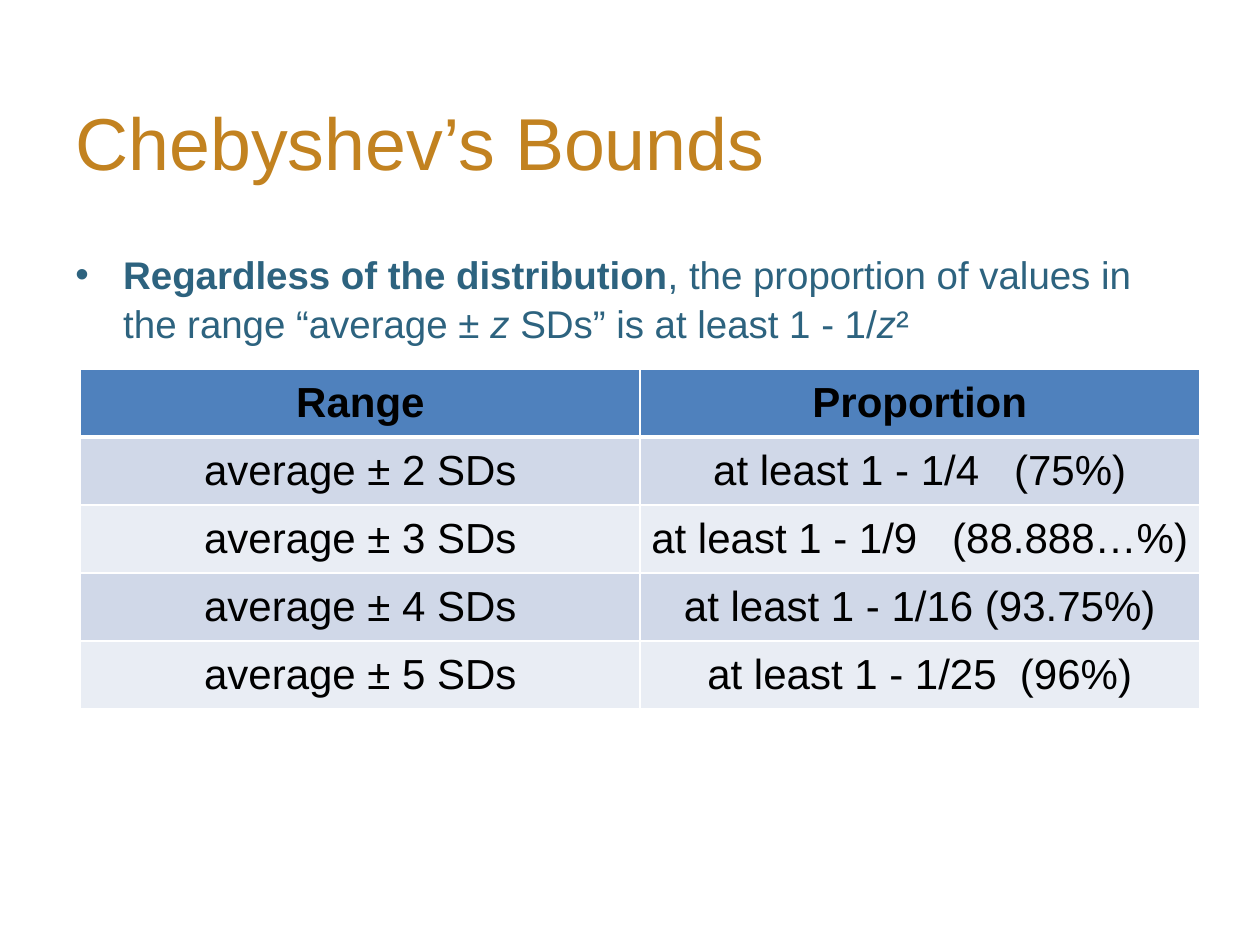
from lxml import etree
from pptx import Presentation, util as u
from pptx.dml.color import RGBColor
from pptx.enum import text
from pptx.oxml.ns import qn

COLORS = {"title": "C28220", "body": "2D637F", "cell": "000000", "border": "FFFFFF",
          "header": "4F81BD", "odd": "D0D8E8", "even": "E9EDF4"}

presentation = Presentation()
presentation.slide_width, presentation.slide_height = u.Inches(10), u.Inches(7.5)
slide = presentation.slides.add_slide(presentation.slide_layouts[6])

MARGIN, CONTENT_WIDTH = u.Inches(0.5), u.Inches(9.06)
COLUMN, ROW = u.Inches(4.44), u.Inches(0.54)


def add_run(paragraph, words, color, **font_format):
    run = paragraph.add_run()
    run.text = words
    run.font.color.rgb = RGBColor.from_string(COLORS[color])
    for name, value in {"name": "Arial", **font_format}.items():
        setattr(run.font, name, value)


def add_text_frame(top, height, anchor):
    shape = slide.shapes.add_textbox(MARGIN, u.Inches(top), CONTENT_WIDTH, u.Inches(height))
    frame_format = {"word_wrap": True, "auto_size": text.MSO_AUTO_SIZE.NONE,
                    "vertical_anchor": anchor}
    for name, value in frame_format.items():
        setattr(shape.text_frame, name, value)
    return shape.text_frame


# Title
title = add_text_frame(0.49, 1.26, text.MSO_ANCHOR.MIDDLE)
add_run(title.paragraphs[0], "Chebyshev’s Bounds", "title", size=u.Pt(42))

# Bulleted statement
body = add_text_frame(1.92, 3.61, text.MSO_ANCHOR.TOP)
paragraph = body.paragraphs[0]
paragraph.line_spacing = 1.06
paragraph.space_before = u.Pt(4.4)
properties = paragraph._p.get_or_add_pPr()
indent = u.Inches(0.38)
properties.set("marL", str(indent))
properties.set("indent", str(-indent))
etree.SubElement(properties, qn("a:buFont")).set("typeface", "Arial")
etree.SubElement(properties, qn("a:buChar")).set("char", "•")
for words, style in [
    ("Regardless of the distribution", {"bold": True}),
    (", the proportion of values in the range “average ± ", {}),
    ("z", {"italic": True}),
    (" SDs” is at least 1 - 1/", {}),
    ("z", {"italic": True}),
    ("²", {}),
]:
    add_run(paragraph, words, "body", size=u.Pt(22), **style)

# Table of bounds
rows = [
    ("Range", "Proportion"),
    ("average ± 2 SDs", "at least 1 - 1/4   (75%)"),
    ("average ± 3 SDs", "at least 1 - 1/9   (88.888…%)"),
    ("average ± 4 SDs", "at least 1 - 1/16 (93.75%)"),
    ("average ± 5 SDs", "at least 1 - 1/25  (96%)"),
]
table = slide.shapes.add_table(len(rows), 2, u.Inches(0.64), u.Inches(2.93),
                               2 * COLUMN, len(rows) * ROW).table
for column in table.columns:
    column.width = COLUMN
cell_margins = dict.fromkeys(
    ["margin_left", "margin_right", "margin_top", "margin_bottom"], u.Inches(0.08))

for row_index, row in enumerate(rows):
    table.rows[row_index].height = ROW
    is_header = row_index == 0
    fill = "header" if is_header else "odd" if row_index % 2 else "even"
    for column_index, words in enumerate(row):
        cell = table.cell(row_index, column_index)
        for name, value in cell_margins.items():
            setattr(cell, name, value)
        paragraph = cell.text_frame.paragraphs[0]
        paragraph.alignment = text.PP_ALIGN.CENTER
        add_run(paragraph, words, "cell", size=u.Pt(24), bold=is_header)

        # White borders, thicker between the header and the first row
        cell_properties = cell._tc.get_or_add_tcPr()
        widths = {"lnL": 1, "lnR": 1, "lnT": 3 if row_index == 1 else 1,
                  "lnB": 3 if is_header else 1}
        for side, width in widths.items():
            line = etree.SubElement(cell_properties, qn(f"a:{side}"), w=str(u.Pt(width)))
            solid = etree.SubElement(line, qn("a:solidFill"))
            etree.SubElement(solid, qn("a:srgbClr"), val=COLORS["border"])
        cell.fill.solid()
        cell.fill.fore_color.rgb = RGBColor.from_string(COLORS[fill])

presentation.save("out.pptx")
